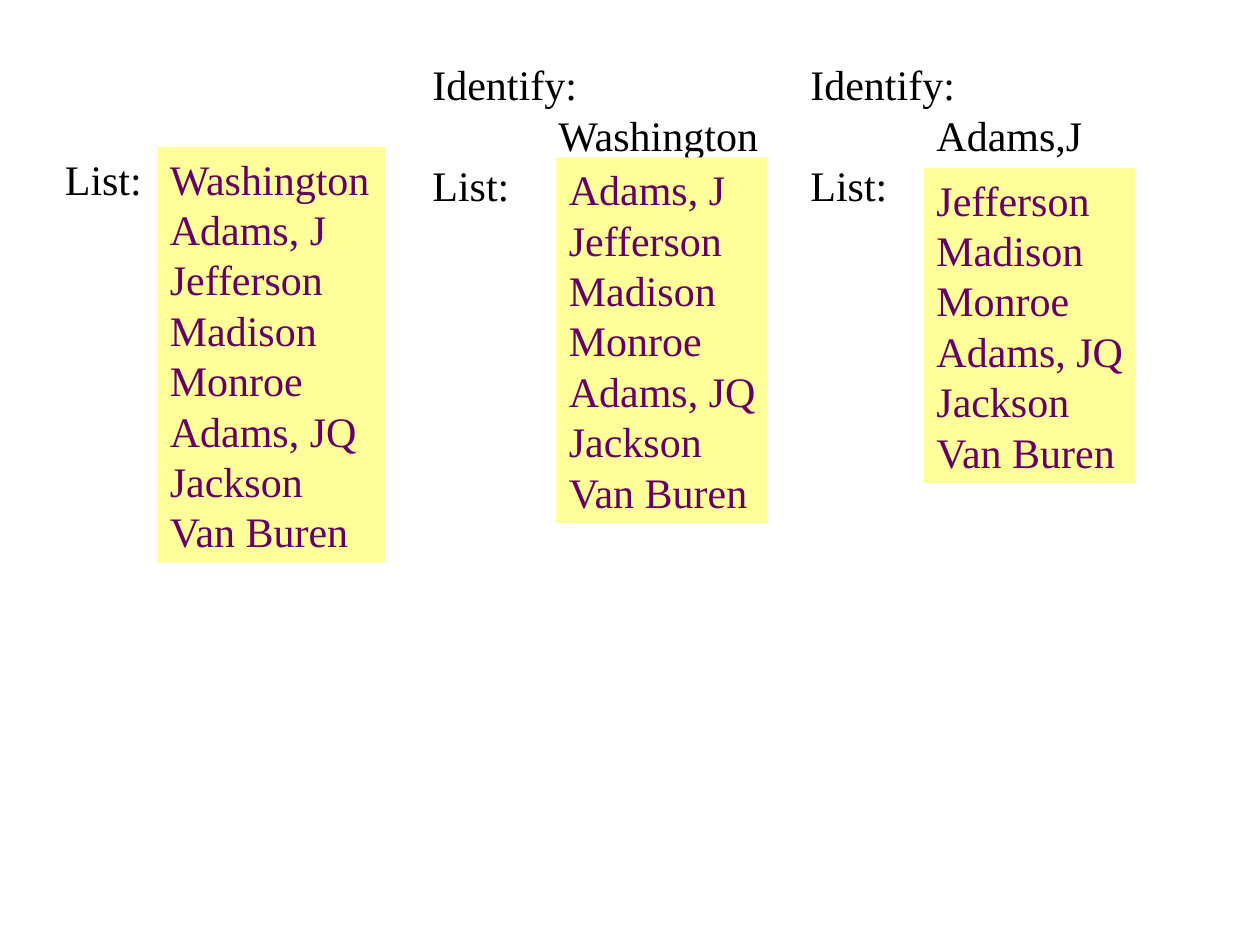
from dataclasses import dataclass

from lxml import etree
from pptx import Presentation
from pptx import util as u
from pptx.dml.color import RGBColor
from pptx.enum import shapes, text
from pptx.oxml import ns


@dataclass(frozen=True)
class Theme:
    font: str = "Times New Roman"
    size: float = 24
    line_height: float = 28.8
    inset_x: float = 7.2
    inset_y: float = 3.6
    tab: float = 72
    label: str = "000000"
    name: str = "660066"
    panel: str = "FFFF99"


THEME = Theme()

PRESIDENTS = ["Washington", "Adams, J", "Jefferson", "Madison",
              "Monroe", "Adams, JQ", "Jackson", "Van Buren"]


def text_height(lines):
    return len(lines) * THEME.line_height + 2 * THEME.inset_y


def add_tab_stop(para, position):
    properties = para._p.get_or_add_pPr()
    stops = etree.SubElement(properties, ns.qn("a:tabLst"))
    etree.SubElement(stops, ns.qn("a:tab"),
                     pos=str(u.Pt(position)), algn="l")


def write_lines(shape, lines, *, color, wrap):
    frame = shape.text_frame
    frame.word_wrap = wrap
    frame.auto_size = text.MSO_AUTO_SIZE.SHAPE_TO_FIT_TEXT
    frame.vertical_anchor = text.MSO_ANCHOR.TOP
    frame.margin_left = frame.margin_right = u.Pt(THEME.inset_x)
    frame.margin_top = frame.margin_bottom = u.Pt(THEME.inset_y)
    for index, line in enumerate(lines):
        para = frame.add_paragraph() if index else frame.paragraphs[0]
        para.alignment = text.PP_ALIGN.LEFT
        para.line_spacing = u.Pt(THEME.line_height)
        if "\t" in line:
            add_tab_stop(para, THEME.tab)
        span = para.add_run()
        span.text = line
        span.font.name = THEME.font
        span.font.size = u.Pt(THEME.size)
        span.font.color.rgb = RGBColor.from_string(color)


def add_label(page, lines, left, top, width, *, wrap=True):
    box = page.shapes.add_textbox(
        u.Pt(left), u.Pt(top), u.Pt(width), u.Pt(text_height(lines)))
    write_lines(box, lines, color=THEME.label, wrap=wrap)


def add_name_list(page, names, left, top, width):
    """Add a filled panel just tall enough for its names."""
    panel = page.shapes.add_shape(
        shapes.MSO_SHAPE.RECTANGLE,
        u.Pt(left), u.Pt(top), u.Pt(width), u.Pt(text_height(names)))
    panel.shadow.inherit = False
    panel.fill.solid()
    panel.fill.fore_color.rgb = RGBColor.from_string(THEME.panel)
    panel.line.fill.background()
    write_lines(panel, names, color=THEME.name, wrap=False)


def add_step(page, identified, remaining, label_left, list_left, list_top):
    """Show the name taken from the list and the names that remain."""
    add_label(page, ["Identify:", "\t" + identified, "List:"],
              label_left, 30, 228)
    add_name_list(page, remaining, list_left, list_top, 121)


def main():
    deck = Presentation()
    deck.slide_width, deck.slide_height = u.Pt(720), u.Pt(540)
    page = deck.slides.add_slide(deck.slide_layouts[6])

    add_name_list(page, PRESIDENTS, 90, 84, 130)
    add_label(page, ["List:"], 30, 84, 60, wrap=False)
    add_step(page, "Washington", PRESIDENTS[1:], 240, 318, 90)
    add_step(page, "Adams,J", PRESIDENTS[2:], 456, 528, 96)

    deck.save("out.pptx")


if __name__ == "__main__":
    main()
